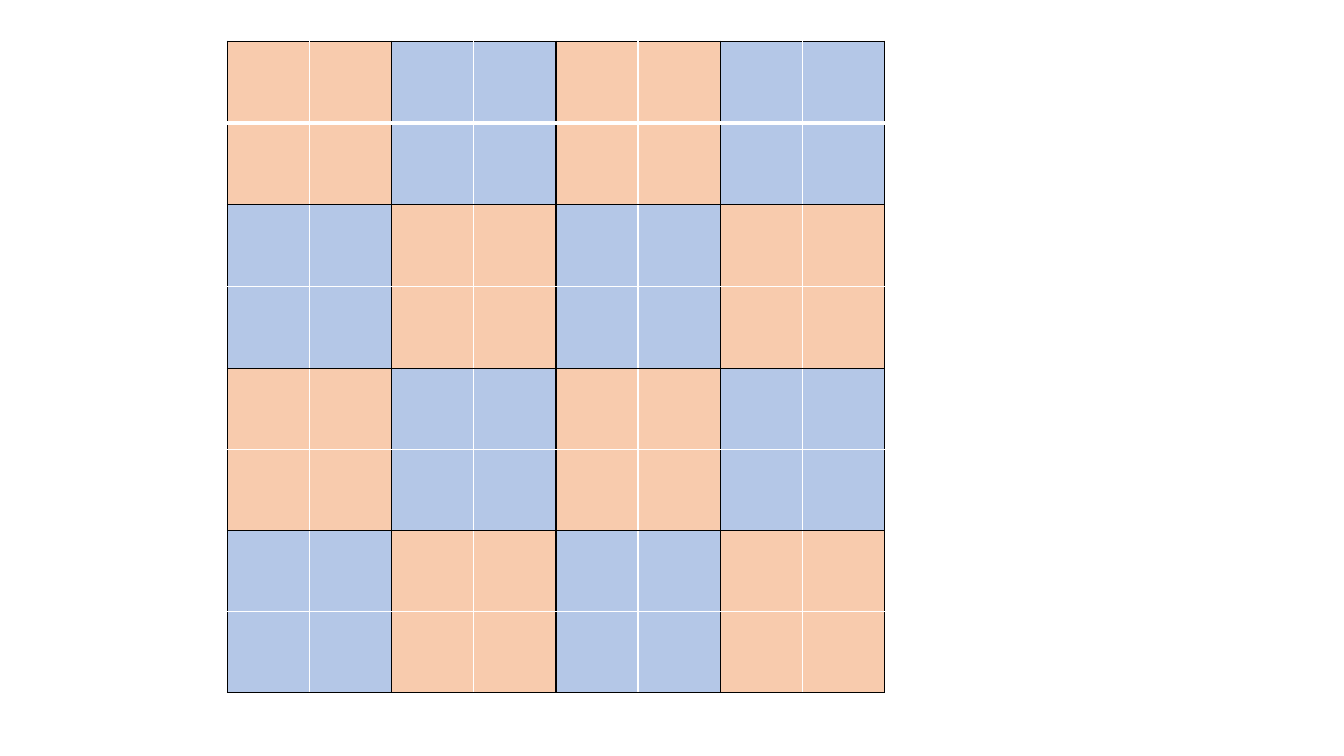
from typing import NamedTuple

from pptx import Presentation
from pptx.dml.color import RGBColor
from pptx.oxml.ns import qn
from pptx.table import Table, _Cell
from pptx.util import Cm, Pt
from lxml.etree import SubElement

PEACH = RGBColor(0xF8, 0xCB, 0xAD)
BLUE = RGBColor(0xB4, 0xC7, 0xE7)
BLACK = RGBColor(0, 0, 0)
WHITE = RGBColor(0xFF, 0xFF, 0xFF)

COUNT = 8  # cells along each side of the board
BLOCK = 2  # cells along each side of a coloured block
LEFT, TOP = Cm(5.73), Cm(1.04)
WIDTH = Cm(2.07)
TALL, SHORT = Cm(2.06), Cm(2.04)
STYLE = {"first_row": False, "horz_banding": False}


class Edge(NamedTuple):
    side: str
    color: RGBColor
    width: float = 1


def rule(cell: _Cell, edge: Edge) -> None:
    """Draw one border of a cell."""
    props = cell._tc.get_or_add_tcPr()
    line = SubElement(props, qn(f"a:ln{edge.side}"), w=str(Pt(edge.width)))
    fill = SubElement(line, qn("a:solidFill"))
    SubElement(fill, qn("a:srgbClr"), val=str(edge.color))


def edges(row: int, col: int) -> list[Edge]:
    """Black lines bound the blocks, white lines divide them."""
    first_col, first_row = col % BLOCK == 0, row % BLOCK == 0
    return [
        Edge("L", BLACK if first_col else WHITE),
        Edge("R", WHITE if first_col else BLACK),
        Edge("T", BLACK if first_row else WHITE),
        Edge("B", WHITE if first_row else BLACK, 3 if row == 0 else 1),
    ]


def paint(board: Table) -> None:
    for row in range(COUNT):
        for col in range(COUNT):
            cell = board.cell(row, col)
            for edge in edges(row, col):
                rule(cell, edge)
            odd = (row // BLOCK + col // BLOCK) % 2
            cell.fill.solid()
            cell.fill.fore_color.rgb = BLUE if odd else PEACH


def main() -> None:
    deck = Presentation()
    deck.slide_width, deck.slide_height = Cm(33.87), Cm(19.05)
    slide = deck.slides.add_slide(deck.slide_layouts[6])
    height = (TALL + SHORT) * COUNT // 2
    frame = slide.shapes.add_table(
        COUNT, COUNT, LEFT, TOP, WIDTH * COUNT, height
    )
    board = frame.table
    for name, value in STYLE.items():
        setattr(board, name, value)
    for col in board.columns:
        col.width = WIDTH
    for index, row in enumerate(board.rows):
        row.height = TALL if index < COUNT // 2 else SHORT
    paint(board)
    deck.save("out.pptx")


if __name__ == "__main__":
    main()
